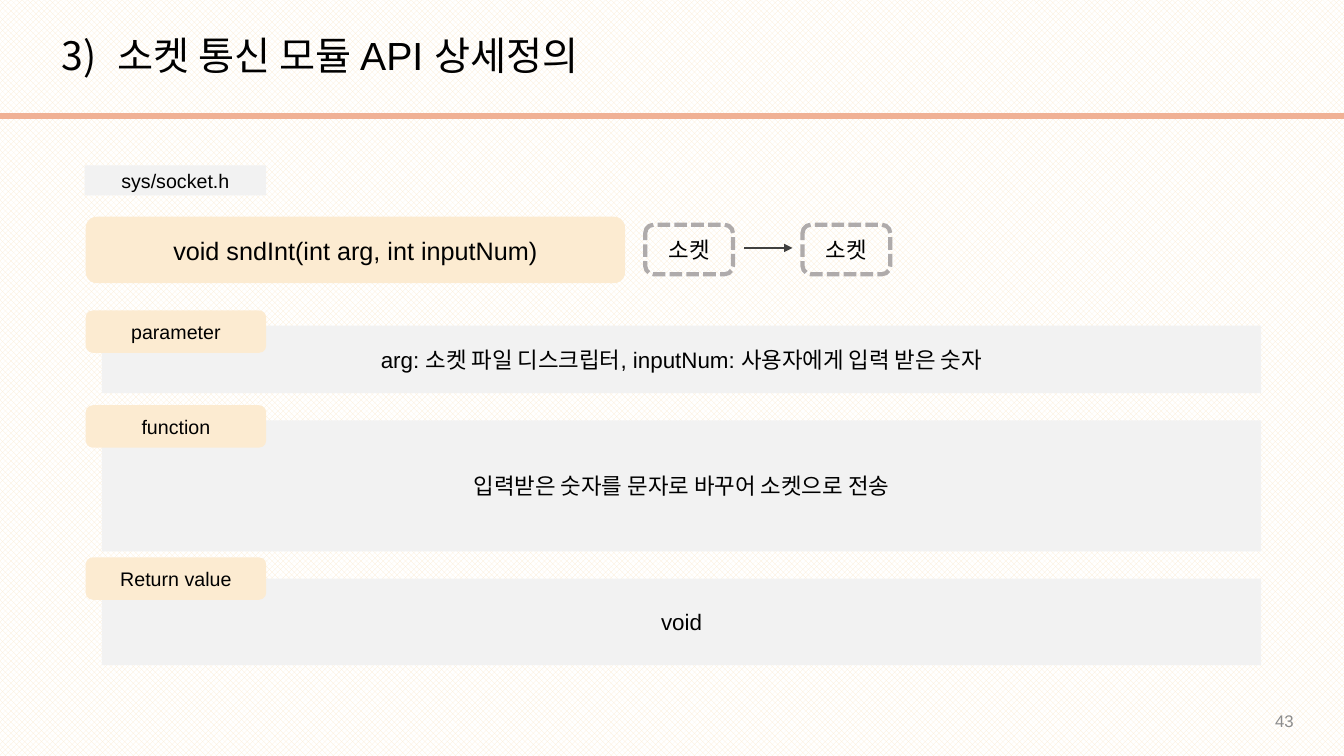
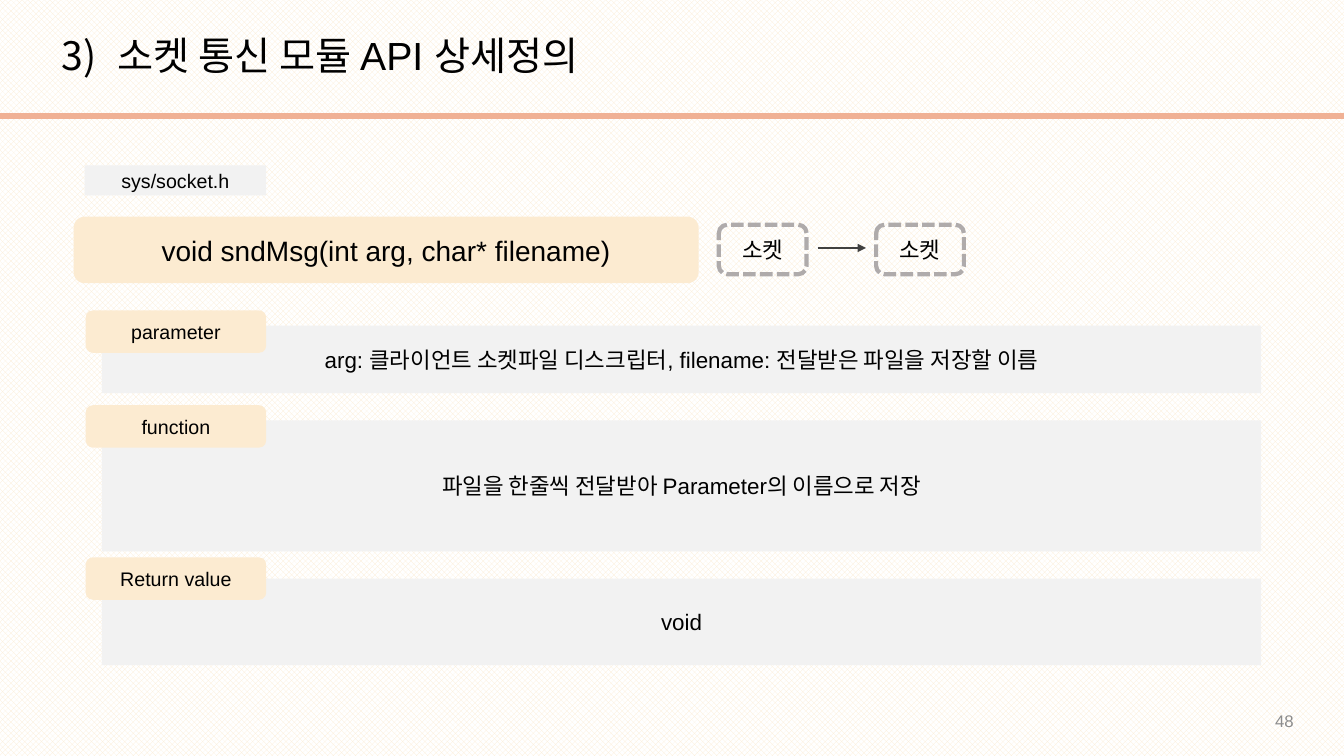
from dataclasses import dataclass
from typing import Any, Optional

from lxml import etree
from pptx import Presentation
from pptx import util as u
from pptx.dml.color import RGBColor
from pptx.enum import dml, shapes, text
from pptx.oxml.ns import qn

EMU_PER_PX = 9144
SLIDE_WIDTH, SLIDE_HEIGHT = 1333, 750

WHITE = RGBColor(0xFF, 0xFF, 0xFF)
BLACK = RGBColor(0x00, 0x00, 0x00)
CREAM = RGBColor(0xFC, 0xEB, 0xD1)
PALE_GRAY = RGBColor(0xF2, 0xF2, 0xF2)
DASH_GRAY = RGBColor(0xAF, 0xAB, 0xAB)
ARROW_GRAY = RGBColor(0x40, 0x40, 0x40)
NUMBER_GRAY = RGBColor(0x8C, 0x8C, 0x8C)
SALMON = RGBColor(0xF0, 0xB1, 0x95)

RECT = shapes.MSO_SHAPE.RECTANGLE
ROUNDED = shapes.MSO_SHAPE.ROUNDED_RECTANGLE
CENTER = text.PP_ALIGN.CENTER
MIDDLE = text.MSO_ANCHOR.MIDDLE

TITLE = "소켓 통신 모듈 API 상세정의"
TITLE_NUMBER = 3
TITLE_FORMAT = {"line_spacing": 0.9, "space_before": u.Pt(10)}
HEADER_FILE = "sys/socket.h"
SOCKET = "소켓"

SIGNATURE_GAP = 20
SOCKET_WIDTH = 87
SOCKET_STEP = 156
ARROW_START, ARROW_END = 98, 146


@dataclass(frozen=True)
class Box:
    left: int
    top: int
    width: int
    height: int

    @property
    def right(self) -> int:
        return self.left + self.width

    def emu(self) -> tuple[u.Emu, ...]:
        return tuple(px(v) for v in (self.left, self.top, self.width, self.height))


@dataclass(frozen=True)
class Section:
    label: str
    tag_top: int
    panel_top: int
    panel_height: int


@dataclass(frozen=True)
class ApiPage:
    number: int
    signature: str
    signature_size: int
    signature_left: int
    signature_width: int
    details: tuple[str, str, str]


SECTIONS = (
    Section("parameter", 308, 323, 67),
    Section("function", 402, 417, 130),
    Section("Return value", 553, 574, 86),
)

PAGES = (
    ApiPage(
        43, "void sndInt(int arg, int inputNum)", 18, 85, 535,
        ("arg: 소켓 파일 디스크립터, inputNum: 사용자에게 입력 받은 숫자",
         "입력받은 숫자를 문자로 바꾸어 소켓으로 전송",
         "void"),
    ),
    ApiPage(
        48, "void sndMsg(int arg, char* filename)", 20, 73, 620,
        ("arg: 클라이언트 소켓파일 디스크립터, filename: 전달받은 파일을 저장할 이름",
         "파일을 한줄씩 전달받아 Parameter의 이름으로 저장",
         "void"),
    ),
)


def px(value: int) -> u.Emu:
    return u.Emu(value * EMU_PER_PX)


def apply_format(target: Any, values: dict[str, Any]) -> None:
    for name, value in values.items():
        setattr(target, name, value)


def write(shape: Any, words: str, size: int, color: RGBColor = BLACK,
          align: Any = CENTER, anchor: Any = MIDDLE) -> Any:
    frame = shape.text_frame
    apply_format(frame, {"word_wrap": True, "vertical_anchor": anchor})
    paragraph = frame.paragraphs[0]
    paragraph.alignment = align
    run = paragraph.add_run()
    run.text = words
    apply_format(run.font, {"name": "Arial", "size": u.Pt(size)})
    run.font.color.rgb = color
    return paragraph


def add_label(slide: Any, kind: Any, box: Box, words: str, size: int,
              fill: Optional[RGBColor] = None) -> Any:
    label = slide.shapes.add_shape(kind, *box.emu())
    label.shadow.inherit = False
    label.line.fill.background()
    if fill is None:
        label.fill.background()
    else:
        label.fill.solid()
        label.fill.fore_color.rgb = fill
    write(label, words, size)
    return label


def add_rule(slide: Any, start: int, end: int, y: int, color: RGBColor,
             weight: float, arrow: bool = False) -> None:
    rule = slide.shapes.add_connector(
        shapes.MSO_CONNECTOR.STRAIGHT, px(start), px(y), px(end), px(y))
    rule.line.color.rgb = color
    rule.line.width = u.Pt(weight)
    properties = rule.element.spPr
    if arrow:
        etree.SubElement(properties.find(qn("a:ln")), qn("a:tailEnd"), type="triangle")
    etree.SubElement(properties, qn("a:effectLst"))


def add_frame(slide: Any, number: int) -> None:
    backdrop = slide.background.fill
    backdrop.patterned()
    backdrop.pattern = dml.MSO_PATTERN.OUTLINED_DIAMOND
    backdrop.fore_color.rgb = CREAM
    backdrop.back_color.rgb = WHITE

    heading = slide.shapes.add_textbox(*Box(51, 31, 1232, 143).emu())
    paragraph = write(heading, TITLE, 28, align=text.PP_ALIGN.LEFT,
                      anchor=text.MSO_ANCHOR.TOP)
    apply_format(paragraph, TITLE_FORMAT)
    indents = paragraph._p.get_or_add_pPr()
    indents.set("marL", str(px(56)))
    indents.set("indent", str(-px(56)))
    etree.SubElement(indents, qn("a:buFont"), typeface="+mj-lt")
    etree.SubElement(indents, qn("a:buAutoNum"), type="arabicParenR",
                     startAt=str(TITLE_NUMBER))

    add_rule(slide, 0, SLIDE_WIDTH, 115, SALMON, 4)
    page_number = slide.shapes.add_textbox(*Box(993, 695, 300, 40).emu())
    write(page_number, str(number), 12, NUMBER_GRAY, text.PP_ALIGN.RIGHT)


def add_socket_flow(slide: Any, left: int) -> None:
    for start in (left, left + SOCKET_STEP):
        socket = add_label(slide, ROUNDED, Box(start, 223, SOCKET_WIDTH, 49), SOCKET, 16)
        socket.line.color.rgb = DASH_GRAY
        apply_format(socket.line, {"width": u.Pt(3),
                                   "dash_style": dml.MSO_LINE.SQUARE_DOT})
    add_rule(slide, left + ARROW_START, left + ARROW_END, 246, ARROW_GRAY, 1.5, arrow=True)


def add_section(slide: Any, section: Section, detail: str) -> None:
    panel = Box(101, section.panel_top, 1150, section.panel_height)
    add_label(slide, RECT, panel, detail, 16, PALE_GRAY)
    tag = Box(85, section.tag_top, 179, 42)
    add_label(slide, ROUNDED, tag, section.label, 14, CREAM)


def add_page(deck: Any, page: ApiPage) -> None:
    slide = deck.slides.add_slide(deck.slide_layouts[6])
    add_frame(slide, page.number)
    add_label(slide, RECT, Box(84, 164, 180, 30), HEADER_FILE, 14, PALE_GRAY)
    signature = Box(page.signature_left, 215, page.signature_width, 66)
    add_label(slide, ROUNDED, signature, page.signature, page.signature_size, CREAM)
    add_socket_flow(slide, signature.right + SIGNATURE_GAP)
    for section, detail in zip(SECTIONS, page.details):
        add_section(slide, section, detail)


def main() -> None:
    deck = Presentation()
    apply_format(deck, {"slide_width": px(SLIDE_WIDTH), "slide_height": px(SLIDE_HEIGHT)})
    for page in PAGES:
        add_page(deck, page)
    deck.save("out.pptx")


if __name__ == "__main__":
    main()
